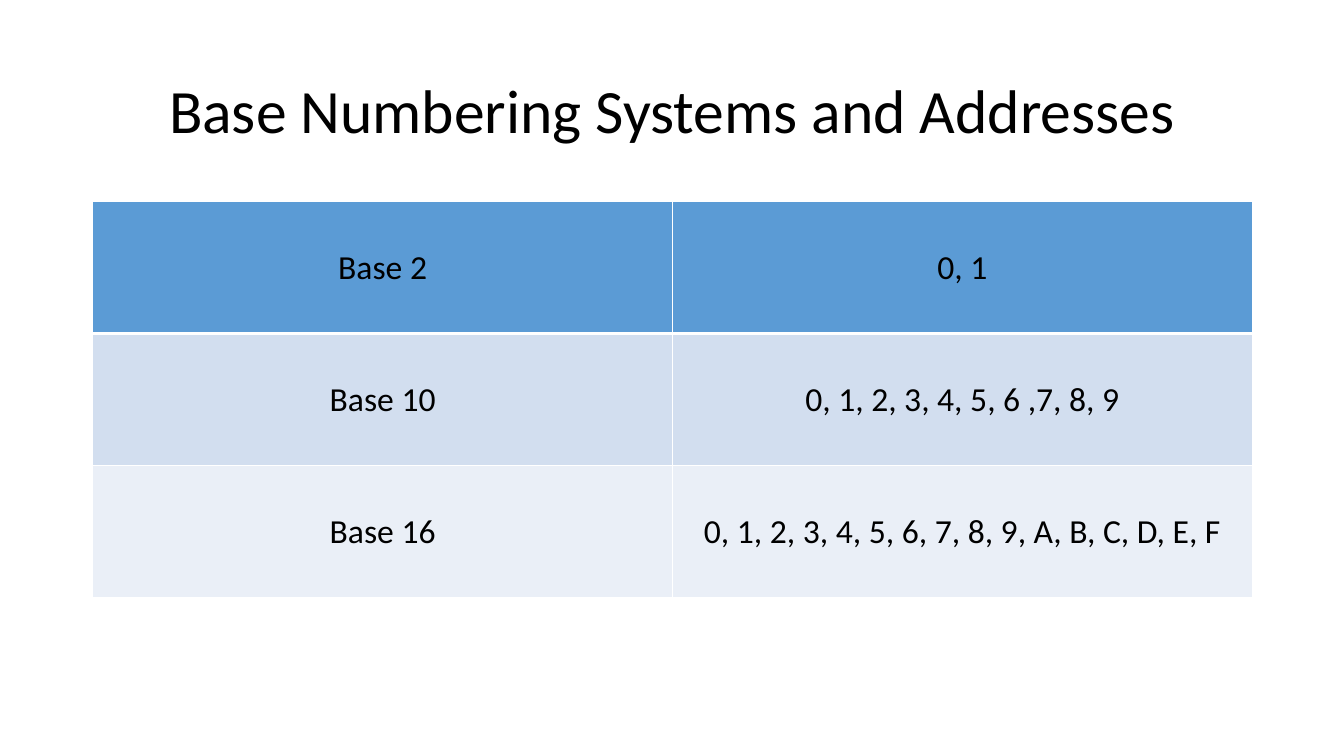
import pptx
import pptx.util
import pptx.dml.color
import pptx.enum.text
import pptx.oxml
import pptx.oxml.ns

Inches, Pt = pptx.util.Inches, pptx.util.Pt
Color = pptx.dml.color.RGBColor
Anchor = pptx.enum.text.MSO_ANCHOR

BLACK = Color(0x00, 0x00, 0x00)
WHITE = Color(0xFF, 0xFF, 0xFF)
BLUE = Color(0x5B, 0x9B, 0xD5)
PALE = Color(0xD2, 0xDE, 0xEF)
FAINT = Color(0xEA, 0xEF, 0xF7)

LEFT, WIDTH = Inches(0.92), Inches(11.5)
ROW = Inches(1.31)
BASES = [
    ("Base 2", "0, 1", BLUE),
    ("Base 10", "0, 1, 2, 3, 4, 5, 6 ,7, 8, 9", PALE),
    ("Base 16", "0, 1, 2, 3, 4, 5, 6, 7, 8, 9, A, B, C, D, E, F", FAINT),
]


def write(frame, text, size):
    """Put one centred black run into a text frame."""
    para = frame.paragraphs[0]
    para.alignment = pptx.enum.text.PP_ALIGN.CENTER
    run = para.add_run()
    run.text = text
    font = run.font
    font.name, font.size, font.bold = "Calibri", Pt(size), False
    font.color.rgb = BLACK
    return para


def edge(cell, side, width):
    """Draw a white border on one side of a cell."""
    cell._tc.get_or_add_tcPr().append(pptx.oxml.parse_xml(
        f'<a:ln{side} {pptx.oxml.ns.nsdecls("a")} w="{Pt(width)}">'
        f'<a:solidFill><a:srgbClr val="{WHITE}"/></a:solidFill></a:ln{side}>'))


deck = pptx.Presentation()
deck.slide_width, deck.slide_height = Inches(13.33), Inches(7.5)
slide = deck.slides.add_slide(deck.slide_layouts[5])

title = slide.shapes.title
title.left, title.top = LEFT, Inches(0.4)
title.width, title.height = WIDTH, Inches(1.45)
title.text_frame.vertical_anchor = Anchor.MIDDLE
write(title.text_frame, "Base Numbering Systems and Addresses", 44).line_spacing = 0.9

table = slide.shapes.add_table(
    len(BASES), 2, LEFT, Inches(2), WIDTH, ROW * len(BASES)).table
for row, (base, digits, fill) in enumerate(BASES):
    table.rows[row].height = ROW
    for col, text in enumerate((base, digits)):
        cell = table.cell(row, col)
        cell.vertical_anchor = Anchor.MIDDLE
        write(cell.text_frame, text, 24)
        for side in "LRTB":
            thick = (row, side) in ((0, "B"), (1, "T"))
            edge(cell, side, 3 if thick else 1)
        cell.fill.solid()
        cell.fill.fore_color.rgb = fill

deck.save("out.pptx")
